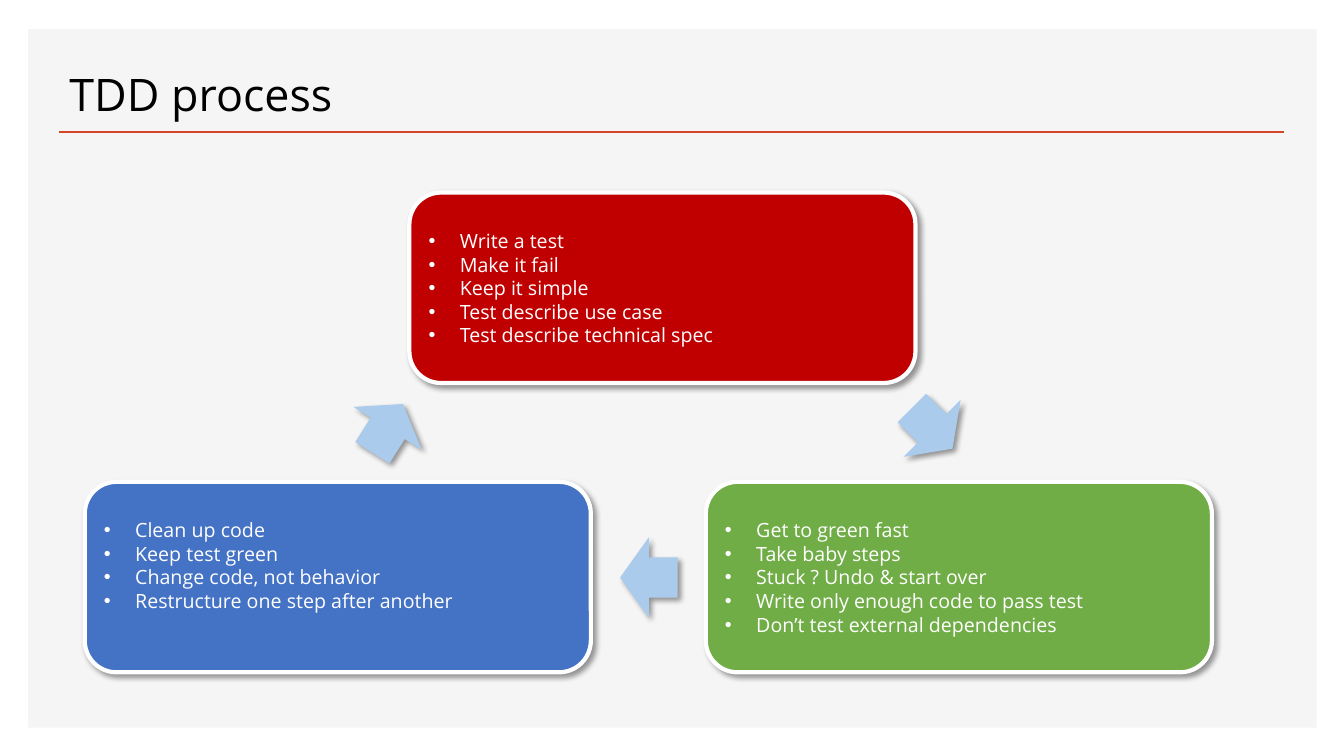
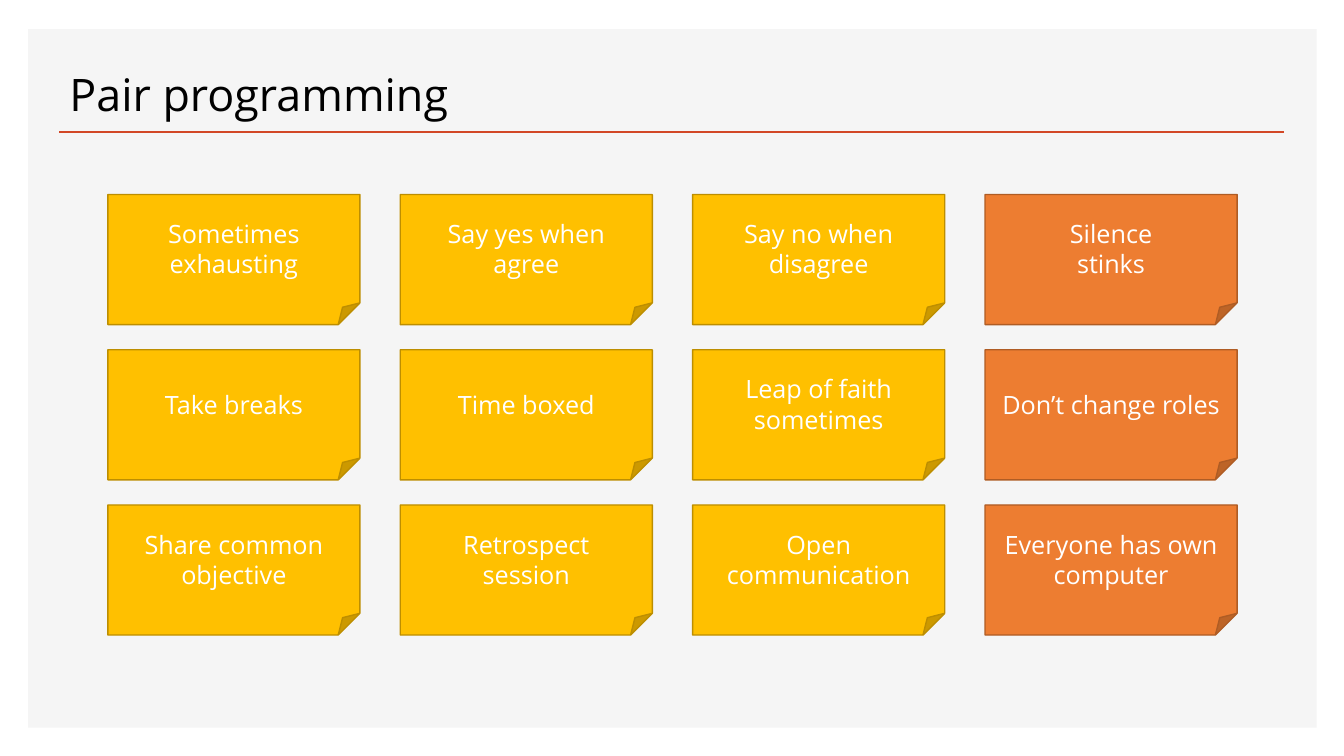
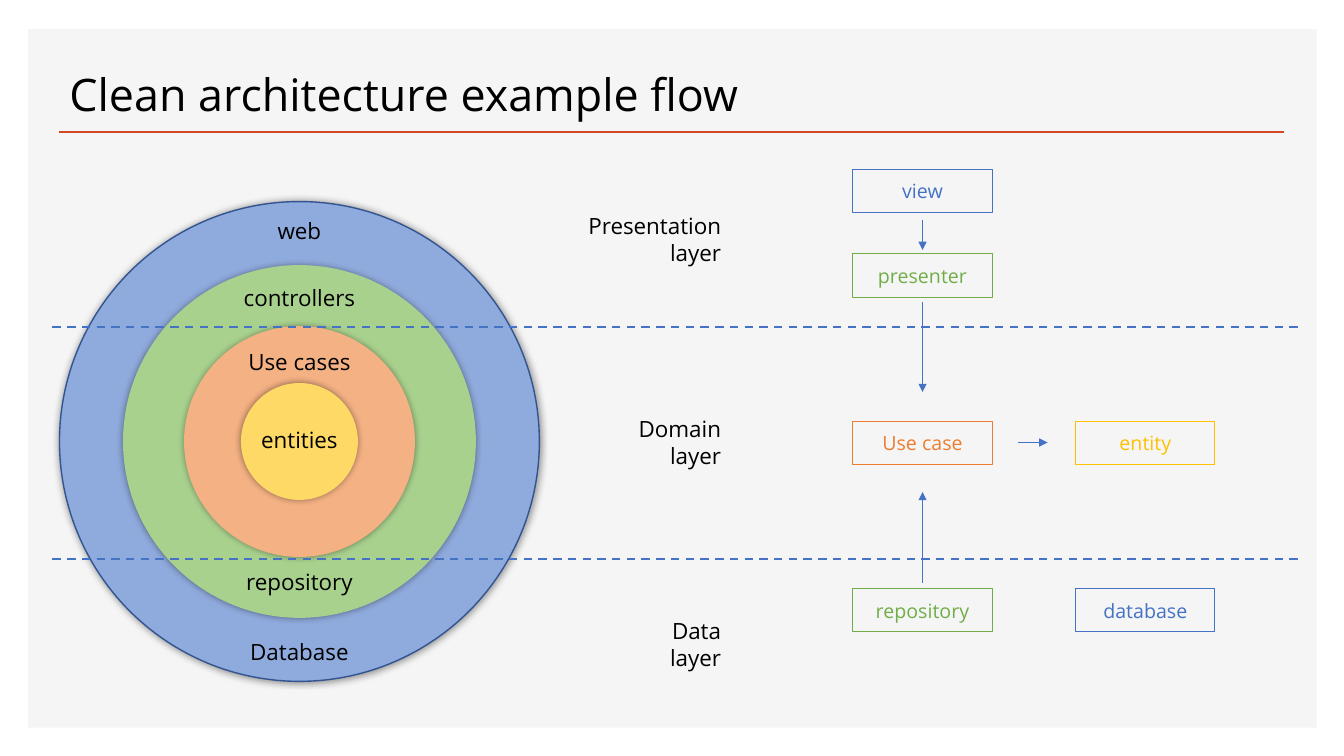
from pptx import Presentation
from pptx.dml.color import RGBColor
from pptx.enum import dml, shapes, text
from pptx.oxml.ns import qn
from pptx.oxml.xmlchemy import OxmlElement
from pptx.util import Inches, Pt

FONT = "Open Sans"
BLACK, WHITE, PANEL, ACCENT = "000000", "FFFFFF", "F5F5F5", "D24726"
BLUE, GREEN, ORANGE, YELLOW, RED = "4472C4", "70AD47", "ED7D31", "FFC000", "C00000"
ARROW_BLUE = "AACBEC"
LEFT, CENTER, RIGHT = text.PP_ALIGN.LEFT, text.PP_ALIGN.CENTER, text.PP_ALIGN.RIGHT
TOP, MIDDLE, BOTTOM = text.MSO_ANCHOR.TOP, text.MSO_ANCHOR.MIDDLE, text.MSO_ANCHOR.BOTTOM
PRESET = shapes.MSO_SHAPE


def rgb(value):
    return RGBColor.from_string(value)


def add_xml(parent, tag, **attributes):
    child = OxmlElement(tag)
    for name, value in attributes.items():
        child.set(name, str(value))
    parent.append(child)
    return child


def write_text(shape, content, size, color=BLACK, align=LEFT, anchor=TOP,
               bullets=False, line_spacing=None):
    """Put each line of content in a paragraph of its own."""
    frame = shape.text_frame
    frame.word_wrap = True
    frame.vertical_anchor = anchor
    for index, line in enumerate(content.split("\n")):
        paragraph = frame.add_paragraph() if index else frame.paragraphs[0]
        paragraph.text = line
        paragraph.alignment = align
        if line_spacing:
            paragraph.line_spacing = line_spacing
        if bullets:
            properties = paragraph._p.get_or_add_pPr()
            properties.set("marL", str(Inches(0.31)))
            properties.set("indent", str(Inches(-0.31)))
            add_xml(properties, "a:buFont", typeface="Arial")
            add_xml(properties, "a:buChar", char="•")
        paragraph.font.name = FONT
        paragraph.font.size = Pt(size)
        paragraph.font.color.rgb = rgb(color)


def add_label(slide, content, left, top, width, height, size=16, **style):
    box = slide.shapes.add_textbox(Inches(left), Inches(top), Inches(width), Inches(height))
    write_text(box, content, size, **style)


def add_shape(slide, preset, left, top, width, height, fill=None, line=None, line_width=1):
    shape = slide.shapes.add_shape(
        preset, Inches(left), Inches(top), Inches(width), Inches(height))
    shape.shadow.inherit = False
    if fill:
        shape.fill.solid()
        shape.fill.fore_color.rgb = rgb(fill)
    else:
        shape.fill.background()
    if line:
        shape.line.color.rgb = rgb(line)
        shape.line.width = Pt(line_width)
    else:
        shape.line.fill.background()
    return shape


def add_shadow(shape, blur=4, distance=3, degrees=45):
    effects = shape._element.spPr.find(qn("a:effectLst"))
    shadow = add_xml(effects, "a:outerShdw", blurRad=Pt(blur), dist=Pt(distance),
                     dir=degrees * 60000, algn="ctr", rotWithShape=0)
    color = add_xml(shadow, "a:srgbClr", val=BLACK)
    add_xml(color, "a:alpha", val=40000)


def add_line(slide, x1, y1, x2, y2, color=BLUE, width=0.5, dashed=False, arrow=False):
    line = slide.shapes.add_connector(
        shapes.MSO_CONNECTOR.STRAIGHT, Inches(x1), Inches(y1), Inches(x2), Inches(y2))
    line.line.color.rgb = rgb(color)
    line.line.width = Pt(width)
    if dashed:
        line.line.dash_style = dml.MSO_LINE.DASH
    if arrow:
        add_xml(line.line._get_or_add_ln(), "a:tailEnd", type="triangle")
    add_xml(line._element.spPr, "a:effectLst")


def add_slide(presentation, title):
    """Add a slide with the panel, title and rule that all slides share."""
    slide = presentation.slides.add_slide(presentation.slide_layouts[6])
    add_shape(slide, PRESET.RECTANGLE, 0.28, 0.29, 12.78, 6.93, PANEL)
    add_line(slide, 0.59, 1.31, 12.74, 1.31, ACCENT, 2)
    add_label(slide, title, 0.59, 0.4, 12.15, 0.85, size=32, anchor=BOTTOM, line_spacing=0.9)
    return slide


def add_step(slide, left, top, color, content):
    step = add_shape(slide, PRESET.ROUNDED_RECTANGLE, left, top, 5.02, 1.89, color, WHITE, 3)
    add_shadow(step)
    step.text_frame.margin_top = Inches(0.27)
    write_text(step, content, 14, WHITE, bullets=True)


def add_cycle_arrow(slide, left, top, rotation):
    arrow = add_shape(slide, PRESET.RIGHT_ARROW, left, top, 0.57, 0.8, ARROW_BLUE)
    arrow.rotation = rotation
    add_shadow(arrow)


def add_note(slide, left, top, content, fill, line):
    note = add_shape(slide, PRESET.FOLDED_CORNER, left, top, 2.5, 1.29, fill, line)
    write_text(note, content, 18, WHITE, CENTER, MIDDLE)


def add_ring(slide, diameter, fill, line=None):
    center_x, center_y = 2.97, 4.38
    ring = add_shape(slide, PRESET.OVAL, center_x - diameter / 2, center_y - diameter / 2,
                     diameter, diameter, fill, line)
    add_shadow(ring, blur=5, distance=0, degrees=0)


def add_flow_box(slide, left, top, name, color):
    box = add_shape(slide, PRESET.RECTANGLE, left, top, 1.38, 0.43, line=color, line_width=0.75)
    write_text(box, name, 14, color, CENTER, MIDDLE)


def build_tdd_process(presentation):
    slide = add_slide(presentation, "TDD process")
    add_step(slide, 4.06, 1.91, RED,
             "Write a test\nMake it fail\nKeep it simple\n"
             "Test describe use case\nTest describe technical spec")
    add_step(slide, 7, 4.78, GREEN,
             "Get to green fast\nTake baby steps\nStuck ? Undo & start over\n"
             "Write only enough code to pass test\nDon’t test external dependencies")
    add_step(slide, 0.84, 4.78, BLUE,
             "Clean up code\nKeep test green\nChange code, not behavior\n"
             "Restructure one step after another")
    for left, top, rotation in ((3.56, 3.85, 302.1), (8.96, 3.85, 45), (6.15, 5.33, 180)):
        add_cycle_arrow(slide, left, top, rotation)


def build_pair_programming(presentation):
    slide = add_slide(presentation, "Pair programming")
    rows = (
        ("Sometimes exhausting", "Say yes when\nagree", "Say no when\ndisagree",
         "Silence\nstinks"),
        ("Take breaks", "Time boxed", "Leap of faith sometimes", "Don’t change roles"),
        ("Share common objective", "Retrospect\nsession", "Open\ncommunication",
         "Everyone has own computer"),
    )
    column_colors = [(YELLOW, "BD8E00")] * 3 + [(ORANGE, "AF5C24")]
    for row, notes in enumerate(rows):
        for column, (content, colors) in enumerate(zip(notes, column_colors)):
            add_note(slide, 1.07 + 2.9 * column, 1.93 + 1.54 * row, content, *colors)


def build_clean_architecture(presentation):
    slide = add_slide(presentation, "Clean architecture example flow")
    add_ring(slide, 4.76, "8FAADC", "325491")
    for diameter, fill in ((3.5, "A9D18E"), (2.29, "F4B183"), (1.16, "FFD966")):
        add_ring(slide, diameter, fill)
    for name, top in (("web", 2.11), ("controllers", 2.77), ("Use cases", 3.4),
                      ("entities", 4.18), ("repository", 5.59), ("Database", 6.28)):
        add_label(slide, name, 2.22, top, 1.5, 0.37, align=CENTER)

    for border in (3.24, 5.55):
        add_line(slide, 0.52, border, 12.93, border, width=1.5, dashed=True)
    for layer, top in (("Presentation", 2.06), ("Domain", 4.07), ("Data", 6.07)):
        add_label(slide, layer + "\nlayer", 5.45, top, 1.8, 0.64, align=RIGHT)

    main_column, side_column = 8.46, 10.67
    for left, top, name, color in (
            (main_column, 1.68, "view", BLUE),
            (main_column, 2.52, "presenter", GREEN),
            (main_column, 4.18, "Use case", ORANGE),
            (side_column, 4.18, "entity", YELLOW),
            (main_column, 5.84, "repository", GREEN),
            (side_column, 5.84, "database", BLUE)):
        add_flow_box(slide, left, top, name, color)
    for start, end in ((2.18, 2.48), (3, 3.89), (5.78, 4.88)):
        add_line(slide, 9.15, start, 9.15, end, arrow=True)
    add_line(slide, 10.1, 4.39, 10.39, 4.39, arrow=True)


def main():
    presentation = Presentation()
    presentation.slide_width = Inches(13.33)
    presentation.slide_height = Inches(7.5)
    build_tdd_process(presentation)
    build_pair_programming(presentation)
    build_clean_architecture(presentation)
    presentation.save("out.pptx")


if __name__ == "__main__":
    main()
